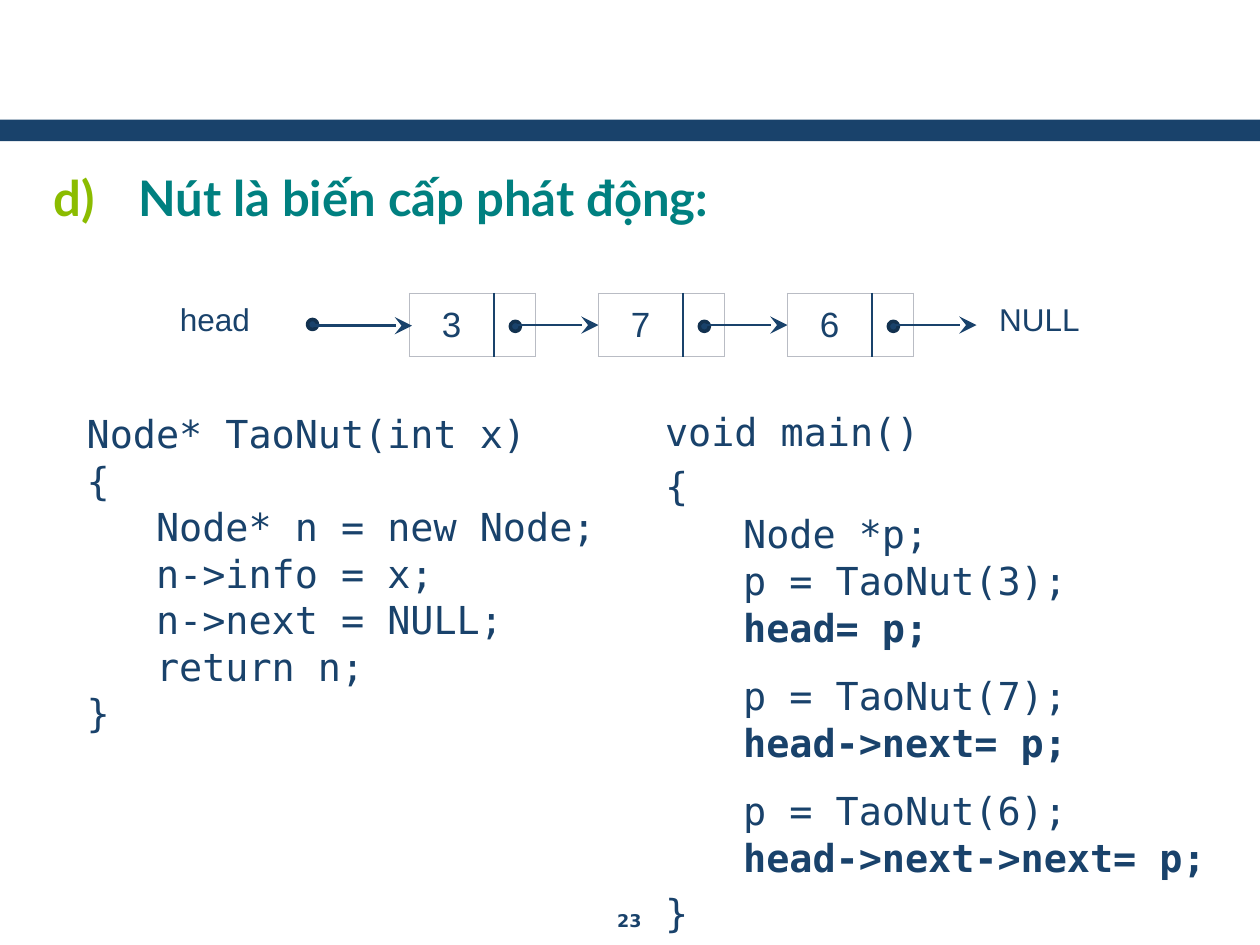
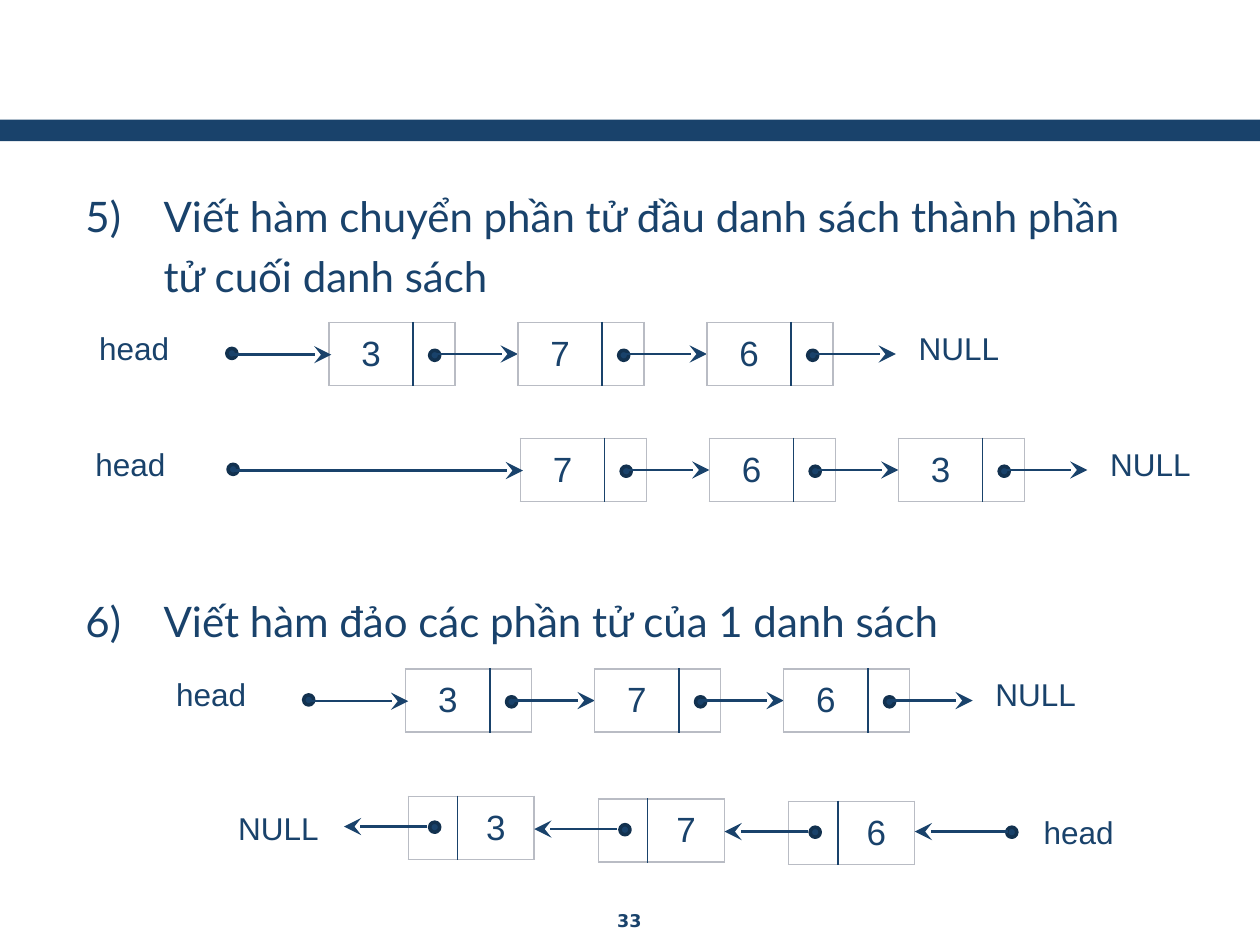
from dataclasses import dataclass

import pptx
import pptx.dml.color
import pptx.enum.shapes
import pptx.enum.text
import pptx.oxml
import pptx.oxml.ns
import pptx.util

SLIDE_WIDTH = pptx.util.Inches(10)
SLIDE_HEIGHT = pptx.util.Inches(7.5)
COLUMN = SLIDE_WIDTH / 20
ROW = SLIDE_HEIGHT / 15

ALIGN = pptx.enum.text.PP_ALIGN
SHAPE = pptx.enum.shapes.MSO_SHAPE


@dataclass(frozen=True)
class Theme:
    navy: str = "19426B"
    dot_edge: str = "12314F"
    cell_edge: str = "B9BCC4"
    teal: str = "008080"
    lime: str = "8BBC00"
    heading_font: str = "Lato"
    code_font: str = "DejaVu Sans Mono"
    label_font: str = "Arial"
    page_font: str = "DejaVu Sans"
    heading_size: int = 28
    task_size: int = 24
    code_size: int = 22
    value_size: int = 20
    label_size: int = 18
    page_size: int = 10


THEME = Theme()


@dataclass(frozen=True)
class Area:
    """A place on the slide, in grid columns and rows."""
    left: float
    top: float
    width: float
    height: float

    def emu(self) -> tuple[int, int, int, int]:
        return (round(self.left * COLUMN), round(self.top * ROW),
                round(self.width * COLUMN), round(self.height * ROW))


@dataclass(frozen=True)
class Style:
    font: str
    size: int
    color: str = THEME.navy
    bold: bool = False


@dataclass(frozen=True)
class Line:
    text: str
    bold: bool = False
    before: float = 0


@dataclass(frozen=True)
class Layout:
    """Paragraph settings; margin and hanging are in inches."""
    align: ALIGN = ALIGN.LEFT
    margin: float = 0
    hanging: float = 0
    spacing: float = 1.0


@dataclass(frozen=True)
class Numbering:
    scheme: str
    start: int
    color: str


@dataclass(frozen=True)
class Chain:
    """A list running right; head_dot and head_label lie left of the first node."""
    left: float
    top: float
    values: tuple[int, ...] = (3, 7, 6)
    head_dot: float = 1.62
    head_label: float = 4.34


LABEL = Style(THEME.label_font, THEME.label_size)
VALUE = Style(THEME.label_font, THEME.value_size)
CODE = Style(THEME.code_font, THEME.code_size)
TASK = Style(THEME.heading_font, THEME.task_size)
HEADING = Style(THEME.heading_font, THEME.heading_size, THEME.teal, True)
PAGE = Style(THEME.page_font, THEME.page_size, bold=True)
CENTRED = Layout(ALIGN.CENTER)

NODE_WIDTH = 2
NODE_STEP = 3
DOT_SIZE = 0.16
LABEL_HEIGHT = 0.8

TAO_NUT = [Line(text, before=2 if index else 0) for index, text in enumerate((
    "Node* TaoNut(int x)",
    "{",
    "   Node* n = new Node;",
    "   n->info = x;",
    "   n->next = NULL;",
    "   return n;",
    "}",
))]
MAIN = [
    Line("void main()"),
    Line("{", before=4.4),
    Line("\tNode *p;"),
    Line("\tp = TaoNut(3);"),
    Line("\thead= p;", bold=True),
    Line("\tp = TaoNut(7);", before=12),
    Line("\thead->next= p;", bold=True),
    Line("\tp = TaoNut(6);", before=12),
    Line("\thead->next->next= p;", bold=True),
    Line("}", before=4.4),
]


def rgb(color: str) -> pptx.dml.color.RGBColor:
    return pptx.dml.color.RGBColor.from_string(color)


def format_runs(paragraph, style: Style, bold: bool = False) -> None:
    for run in paragraph.runs:
        run.font.name = style.font
        run.font.size = pptx.util.Pt(style.size)
        run.font.bold = style.bold or bold
        run.font.color.rgb = rgb(style.color)


def add_numbering(paragraph, numbering: Numbering) -> None:
    properties = paragraph._p.get_or_add_pPr()
    namespace = pptx.oxml.ns.nsdecls("a")
    for xml in (
        f'<a:buClr {namespace}><a:srgbClr val="{numbering.color}"/></a:buClr>',
        f'<a:buAutoNum {namespace} type="{numbering.scheme}" startAt="{numbering.start}"/>',
    ):
        properties.append(pptx.oxml.parse_xml(xml))


def add_text(slide, area: Area, lines: list[Line], style: Style,
             layout: Layout = Layout(), numbering: Numbering | None = None) -> None:
    frame = slide.shapes.add_textbox(*area.emu()).text_frame
    frame.word_wrap = True
    frame.text = "\n".join(line.text for line in lines)
    for paragraph, line in zip(frame.paragraphs, lines):
        properties = paragraph._p.get_or_add_pPr()
        properties.set("marL", str(pptx.util.Inches(layout.margin)))
        properties.set("indent", str(-pptx.util.Inches(layout.hanging)))
        if numbering:
            add_numbering(paragraph, numbering)
        paragraph.alignment = layout.align
        paragraph.line_spacing = layout.spacing
        paragraph.space_before = pptx.util.Pt(line.before)
        format_runs(paragraph, style, line.bold)


def add_label(slide, text: str, left: float, top: float, width: float) -> None:
    add_text(slide, Area(left, top, width, LABEL_HEIGHT), [Line(text)], LABEL, CENTRED)


def add_solid(slide, kind, area: Area, edge: str | None = None) -> None:
    solid = slide.shapes.add_shape(kind, *area.emu())
    solid.shadow.inherit = False
    solid.fill.solid()
    solid.fill.fore_color.rgb = rgb(THEME.navy)
    if edge:
        solid.line.color.rgb = rgb(edge)
        solid.line.width = pptx.util.Pt(2)
    else:
        solid.line.fill.background()


def add_dot(slide, left: float, top: float) -> None:
    add_solid(slide, SHAPE.OVAL, Area(left, top, DOT_SIZE, DOT_SIZE), THEME.dot_edge)


def add_link(slide, start: float, end: float, level: float) -> None:
    """Draw a level arrow between two columns."""
    y = round(level * ROW)
    link = slide.shapes.add_connector(
        pptx.enum.shapes.MSO_CONNECTOR.STRAIGHT,
        round(start * COLUMN), y, round(end * COLUMN), y)
    link.line.color.rgb = rgb(THEME.navy)
    link.line.width = pptx.util.Pt(1.5)
    namespace = pptx.oxml.ns.nsdecls("a")
    link.line._get_or_add_ln().append(
        pptx.oxml.parse_xml(f'<a:tailEnd {namespace} type="stealth" w="lg" len="lg"/>'))
    link._element.spPr.append(pptx.oxml.parse_xml(f"<a:effectLst {namespace}/>"))


def set_borders(cell, divider: str) -> None:
    """Outline a cell; the side named by divider separates value and pointer."""
    properties = cell._tc.get_or_add_tcPr()
    for index, side in enumerate(("lnL", "lnR", "lnT", "lnB")):
        color = THEME.navy if side == divider else THEME.cell_edge
        properties.insert(index, pptx.oxml.parse_xml(
            f'<a:{side} {pptx.oxml.ns.nsdecls("a")} w="12700"><a:solidFill>'
            f'<a:srgbClr val="{color}"/></a:solidFill></a:{side}>'))


def add_node(slide, value: int, left: float, top: float,
             widths: tuple[float, float], value_column: int) -> None:
    table = slide.shapes.add_table(1, 2, *Area(left, top, NODE_WIDTH, 1).emu()).table
    table.first_row = table.horz_banding = False
    for column, width in zip(table.columns, widths):
        column.width = round(width * COLUMN)
    for cell, divider in zip(table.rows[0].cells, ("lnR", "lnL")):
        cell.fill.background()
        set_borders(cell, divider)
    cell = table.cell(0, value_column)
    cell.vertical_anchor = pptx.enum.text.MSO_ANCHOR.MIDDLE
    paragraph = cell.text_frame.paragraphs[0]
    paragraph.text = str(value)
    paragraph.alignment = ALIGN.CENTER
    format_runs(paragraph, VALUE)


def add_chain(slide, chain: Chain) -> None:
    for index, value in enumerate(chain.values):
        left = chain.left + index * NODE_STEP
        add_node(slide, value, left, chain.top, (1.34, 0.66), 0)
        add_dot(slide, left + 1.6, chain.top + 0.44)
        add_link(slide, left + 1.66, left + NODE_STEP, chain.top + 0.5)
    dot = chain.left - chain.head_dot
    add_dot(slide, dot, chain.top + 0.41)
    add_link(slide, dot + DOT_SIZE / 2, chain.left + 0.04, chain.top + 0.51)
    add_label(slide, "head", chain.left - chain.head_label, chain.top, 2.5)
    add_label(slide, "NULL", chain.left + len(chain.values) * NODE_STEP, chain.top, 2)


def add_reversed_chain(slide, chain: Chain) -> None:
    """Draw a list that runs left, sinking slightly from node to node."""
    step, drop = 3.02, 0.04
    for index, value in enumerate(chain.values):
        left, top = chain.left + index * step, chain.top + index * drop
        add_node(slide, value, left, top, (0.78, 1.22), 1)
        add_dot(slide, left + 0.34, top + 0.41)
        add_link(slide, left + 0.3, left - 1.02, top + 0.48)
    head = left + step
    add_dot(slide, head + 0.44, top + 0.41)
    add_link(slide, head + 0.46, head - 1.02, top + 0.48)
    add_label(slide, "head", head + 0.66, top + 0.08, 1.84)
    add_label(slide, "NULL", chain.left - 3.06, chain.top + 0.1, 2)


def start_slide(deck, page: str):
    slide = deck.slides.add_slide(deck.slide_layouts[6])
    add_solid(slide, SHAPE.RECTANGLE, Area(0, 1.9, 20, 0.34))
    add_text(slide, Area(7.66, 14.34, 4.66, 0.52), [Line(page)], PAGE, CENTRED)
    return slide


def build_dynamic_nodes(deck) -> None:
    slide = start_slide(deck, "23")
    add_text(slide, Area(0.66, 2.66, 18.84, 1.34), [Line("Nút là biến cấp phát động:")],
             HEADING, Layout(margin=0.67, hanging=0.67, spacing=0.9),
             Numbering("alphaLcParenR", 4, THEME.lime))
    add_chain(slide, Chain(6.5, 4.66))
    add_text(slide, Area(0.3, 6.48, 9.8, 5.38), TAO_NUT, CODE,
             Layout(margin=0.44, spacing=0.93))
    add_text(slide, Area(9.48, 6.36, 10.04, 8.4), MAIN, CODE,
             Layout(margin=1.06, hanging=0.62, spacing=1.02))


def build_exercises(deck) -> None:
    slide = start_slide(deck, "33")
    tasks = (
        (5, 2.76, "Viết hàm chuyển phần tử đầu danh sách thành phần tử cuối danh sách"),
        (6, 9.2, "Viết hàm đảo các phần tử của 1 danh sách"),
    )
    for number, top, task in tasks:
        add_text(slide, Area(1.16, top, 17.34, 2), [Line(task)], TASK,
                 Layout(margin=0.62, hanging=0.62, spacing=1.2),
                 Numbering("arabicParenR", number, THEME.navy))
    add_chain(slide, Chain(5.22, 5.12))
    add_chain(slide, Chain(8.26, 6.96, (7, 6, 3), head_dot=4.64, head_label=7.44))
    add_chain(slide, Chain(6.44, 10.62))
    add_reversed_chain(slide, Chain(6.48, 12.64))


def main() -> None:
    deck = pptx.Presentation()
    deck.slide_width, deck.slide_height = SLIDE_WIDTH, SLIDE_HEIGHT
    build_dynamic_nodes(deck)
    build_exercises(deck)
    deck.save("out.pptx")


if __name__ == "__main__":
    main()
